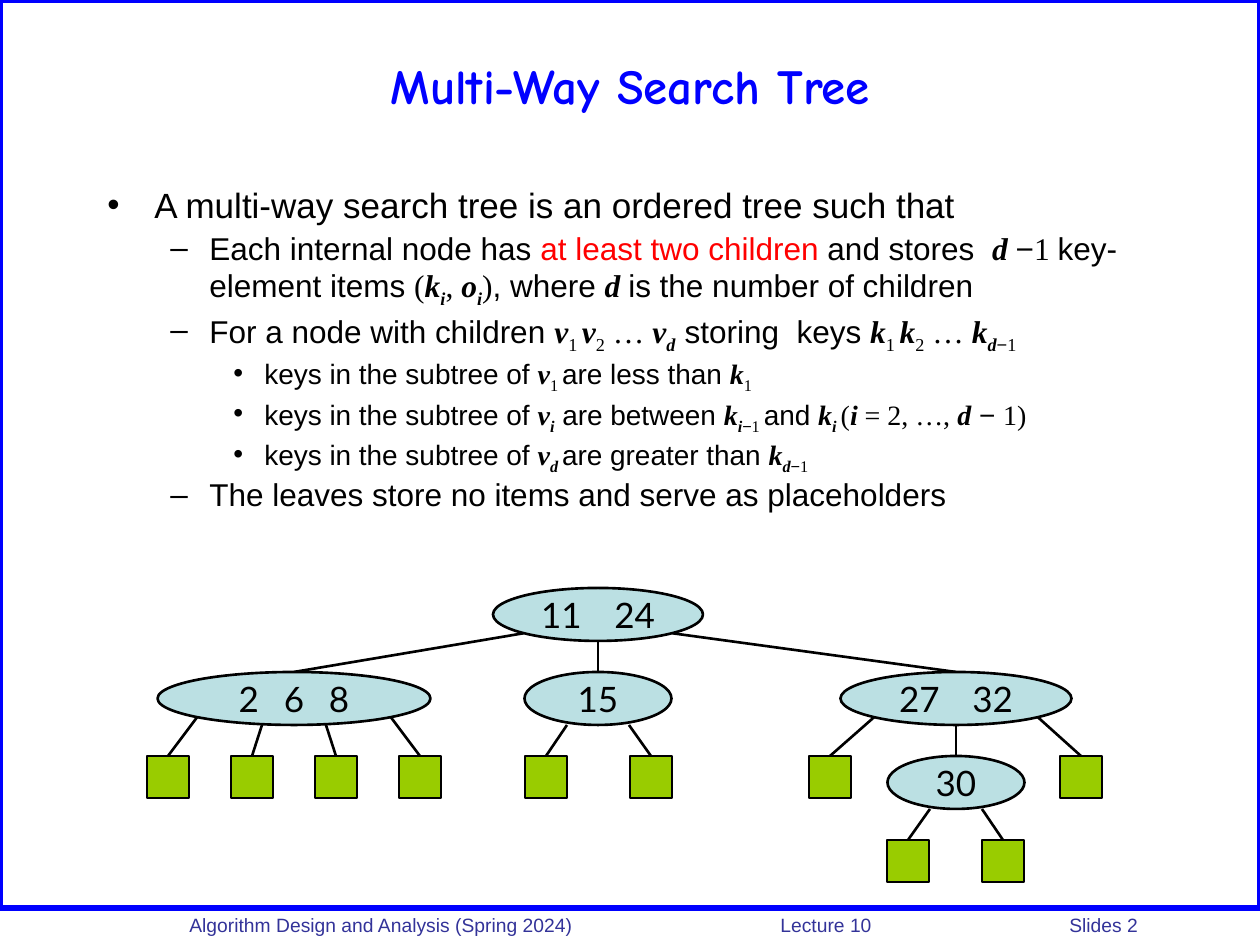
from pptx import Presentation, util as u
from pptx.dml.color import RGBColor
from pptx.enum import shapes, text
from pptx.oxml.ns import qn
from lxml import etree

PX = 914400 / 126  # EMU in one px
COLORS = {"blue": "0000FF", "footer": "333399", "black": "000000", "red": "FF0000",
          "node": "BBE0E3", "leaf": "99CC00"}
SANS, SERIF, TITLE, KEYS = "Arial", "Times New Roman", "Comic Neue", "Lato"

# Run styles of the body: sans, red sans, number, variable; the last three lowered
RUN_STYLES = {
    "sans": dict(font=SANS),
    "red": dict(font=SANS, color="red"),
    "num": dict(font=SERIF),
    "var": dict(font=SERIF, bold=True, italic=True),
    "sans_sub": dict(font=SANS, sub=True),
    "num_sub": dict(font=SERIF, sub=True),
    "var_sub": dict(font=SERIF, bold=True, italic=True, sub=True),
}
# Level: size, text indent, hanging indent, space before, bullet
LEVELS = [(20, 47, 47, 4, "•"), (18, 102, 39, 4, "–"), (16, 157, 31, 3.5, "•")]


def px(length):
    return u.Emu(round(length * PX))


def rgb(name):
    return RGBColor.from_string(COLORS[name])


def add_run(paragraph, words, size=18, font=SANS, color="black", bold=False,
            italic=False, sub=False, spacing=0):
    run = paragraph.add_run()
    run.text = words
    style = run.font
    style.size, style.name, style.bold, style.italic = u.Pt(size), font, bold, italic
    style.color.rgb = rgb(color)
    properties = run._r.get_or_add_rPr()
    if sub:
        properties.set("baseline", "-25000")
    if spacing:
        properties.set("spc", str(round(spacing * 100)))


class Deck:
    line_width = 1.5
    node_height, leaf_side = 53, 42
    first_row, row_pitch = 588, 84

    def __init__(self):
        self.file = Presentation()
        self.file.slide_width, self.file.slide_height = px(1260), px(945)
        self.slide = self.file.slides.add_slide(self.file.slide_layouts[6])

    def shape(self, kind, left, top, width, height, fill=None, line="black", weight=None):
        shape = self.slide.shapes.add_shape(kind, px(left), px(top), px(width), px(height))
        shape.shadow.inherit = False
        if fill:
            shape.fill.solid()
            shape.fill.fore_color.rgb = rgb(fill)
        else:
            shape.fill.background()
        shape.line.color.rgb = rgb(line)
        shape.line.width = u.Pt(weight or self.line_width)
        return shape

    def textbox(self, left, top, width, height, anchor=text.MSO_ANCHOR.TOP):
        frame = self.slide.shapes.add_textbox(px(left), px(top), px(width), px(height)).text_frame
        frame.word_wrap = True
        frame.vertical_anchor = anchor
        return frame

    def edge(self, x1, y1, x2, y2):
        line = self.slide.shapes.add_connector(
            shapes.MSO_CONNECTOR.STRAIGHT, px(x1), px(y1), px(x2), px(y2))
        line.line.color.rgb = rgb("black")
        line.line.width = u.Pt(self.line_width)
        etree.SubElement(line._element.spPr, qn("a:effectLst"))

    def bullets(self, frame, items):
        for index, (level, runs) in enumerate(items):
            size, indent, hanging, before, mark = LEVELS[level]
            paragraph = frame.paragraphs[0] if index == 0 else frame.add_paragraph()
            properties = paragraph._p.get_or_add_pPr()
            properties.set("marL", str(px(indent)))
            properties.set("indent", str(-px(hanging)))
            etree.SubElement(properties, qn("a:buFont")).set("typeface", SANS)
            etree.SubElement(properties, qn("a:buChar")).set("char", mark)
            paragraph.level = level
            paragraph.line_spacing = 0.9
            paragraph.space_before = u.Pt(before if index else 0)
            for style, words in runs:
                add_run(paragraph, words, size=size, **RUN_STYLES[style])

    def tabbed(self, frame, words, stops, **style):
        paragraph = frame.paragraphs[0]
        tabs = etree.SubElement(paragraph._p.get_or_add_pPr(), qn("a:tabLst"))
        for stop in stops:
            etree.SubElement(tabs, qn("a:tab"), pos=str(px(stop)), algn="l")
        add_run(paragraph, "\t".join(words), **style)

    def leaf(self, center, row):
        side = self.leaf_side
        self.shape(shapes.MSO_SHAPE.RECTANGLE, center - side / 2,
                   self.first_row + row * self.row_pitch, side, side, "leaf")

    def node(self, center, row, width, keys, gap, children):
        """Draws a subtree; a child is (edge start offset or None, center, *its own subtree)."""
        top = self.first_row + row * self.row_pitch
        half = self.node_height / 2
        for start, child, *subtree in children:
            # No offset: the edge leaves the ellipse at 45 degrees on the child's side
            if start is None:
                start = (1 if child > center else -1) * 0.71 * width / 2
                bottom = top + 1.71 * half
            else:
                bottom = top + 2 * half
            self.edge(center + start, bottom, child, top + self.row_pitch)
            if subtree:
                self.node(child, row + 1, *subtree)
            else:
                self.leaf(child, row + 1)
        oval = self.shape(shapes.MSO_SHAPE.OVAL, center - width / 2, top,
                          width, self.node_height, "node")
        frame = oval.text_frame
        frame.word_wrap = False
        frame.vertical_anchor = text.MSO_ANCHOR.MIDDLE
        paragraph = frame.paragraphs[0]
        paragraph.alignment = text.PP_ALIGN.CENTER
        for index, key in enumerate(keys):
            if index:
                add_run(paragraph, " ", size=20, font=KEYS, spacing=gap)
            add_run(paragraph, key, size=20, font=KEYS)


BODY = [
    (0, [("sans", "A multi-way search tree is an ordered tree such that")]),
    (1, [("sans", "Each internal node has "), ("red", "at least two children "),
         ("sans", "and stores  "), ("var", "d "), ("sans", "−"), ("num", "1 "),
         ("sans", "key-element items "), ("num", "("), ("var", "k"), ("var_sub", "i"),
         ("num", ", "), ("var", "o"), ("var_sub", "i"), ("num", ")"),
         ("sans", ", where "), ("var", "d "), ("sans", "is the number of children")]),
    (1, [("sans", "For a node with children "), ("var", "v"), ("num_sub", "1 "),
         ("var", "v"), ("num_sub", "2"), ("num", " … "), ("var", "v"), ("var_sub", "d  "),
         ("sans", "storing  keys "), ("var", "k"), ("num_sub", "1 "), ("var", "k"),
         ("num_sub", "2"), ("num", " … "), ("var", "k"), ("var_sub", "d"),
         ("sans_sub", "−"), ("num_sub", "1")]),
    (2, [("sans", "keys in the subtree of "), ("var", "v"), ("num_sub", "1 "),
         ("sans", "are less than "), ("var", "k"), ("num_sub", "1")]),
    (2, [("sans", "keys in the subtree of "), ("var", "v"), ("var_sub", "i"),
         ("sans", " are between "), ("var", "k"), ("var_sub", "i"), ("sans_sub", "−"),
         ("num_sub", "1 "), ("sans", "and "), ("var", "k"), ("var_sub", "i "),
         ("num", "("), ("var", "i"), ("num", " = 2, …, "), ("var", "d"),
         ("sans", " − "), ("num", "1)")]),
    (2, [("sans", "keys in the subtree of "), ("var", "v"), ("var_sub", "d "),
         ("sans", "are greater than "), ("var", "k"), ("var_sub", "d"),
         ("sans_sub", "−"), ("num_sub", "1")]),
    (1, [("sans", "The leaves store no items and serve as placeholders")]),
]

TREE_CHILDREN = [
    (None, 294, 273, ["2", "6", "8"], 9,
     [(None, 168), (-32, 252), (32, 336), (None, 420)]),
    (0, 598, 147, ["15"], 0, [(-31, 546), (31, 651)]),
    (None, 956, 231, ["27", "32"], 13.5,
     [(None, 830), (0, 956, 137, ["30"], 0, [(-26, 908), (26, 1003)]), (None, 1081)]),
]


def main():
    deck = Deck()

    # Frame and footer
    deck.shape(shapes.MSO_SHAPE.RECTANGLE, 0, 0, 1260, 908, line="blue", weight=3)
    footer = deck.textbox(177, 907, 1083, 33)
    deck.tabbed(footer, ["Algorithm Design and Analysis (Spring 2024)", "Lecture 10", "Slides 2"],
                [591, 880], size=11, color="footer")

    # Title
    title = deck.textbox(63, 22, 1134, 126, text.MSO_ANCHOR.MIDDLE).paragraphs[0]
    title.alignment = text.PP_ALIGN.CENTER
    add_run(title, "Multi-Way Search Tree", size=28, font=TITLE, color="blue", bold=True)

    # Definition
    deck.bullets(deck.textbox(95, 182, 1113, 378), BODY)

    # Example tree
    deck.node(598, 0, 210, ["11", "24"], 13.5, TREE_CHILDREN)

    deck.file.save("out.pptx")


if __name__ == "__main__":
    main()
